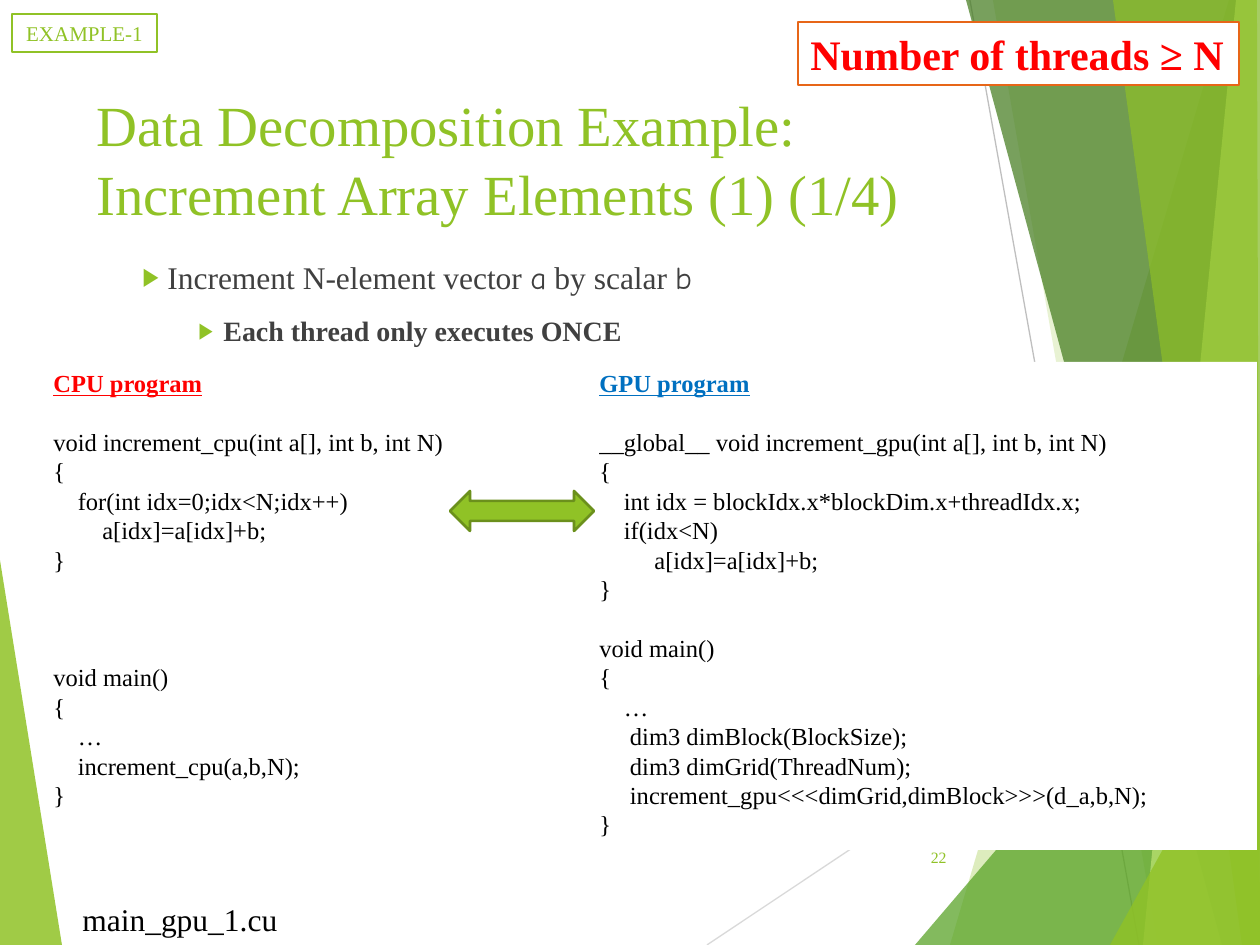
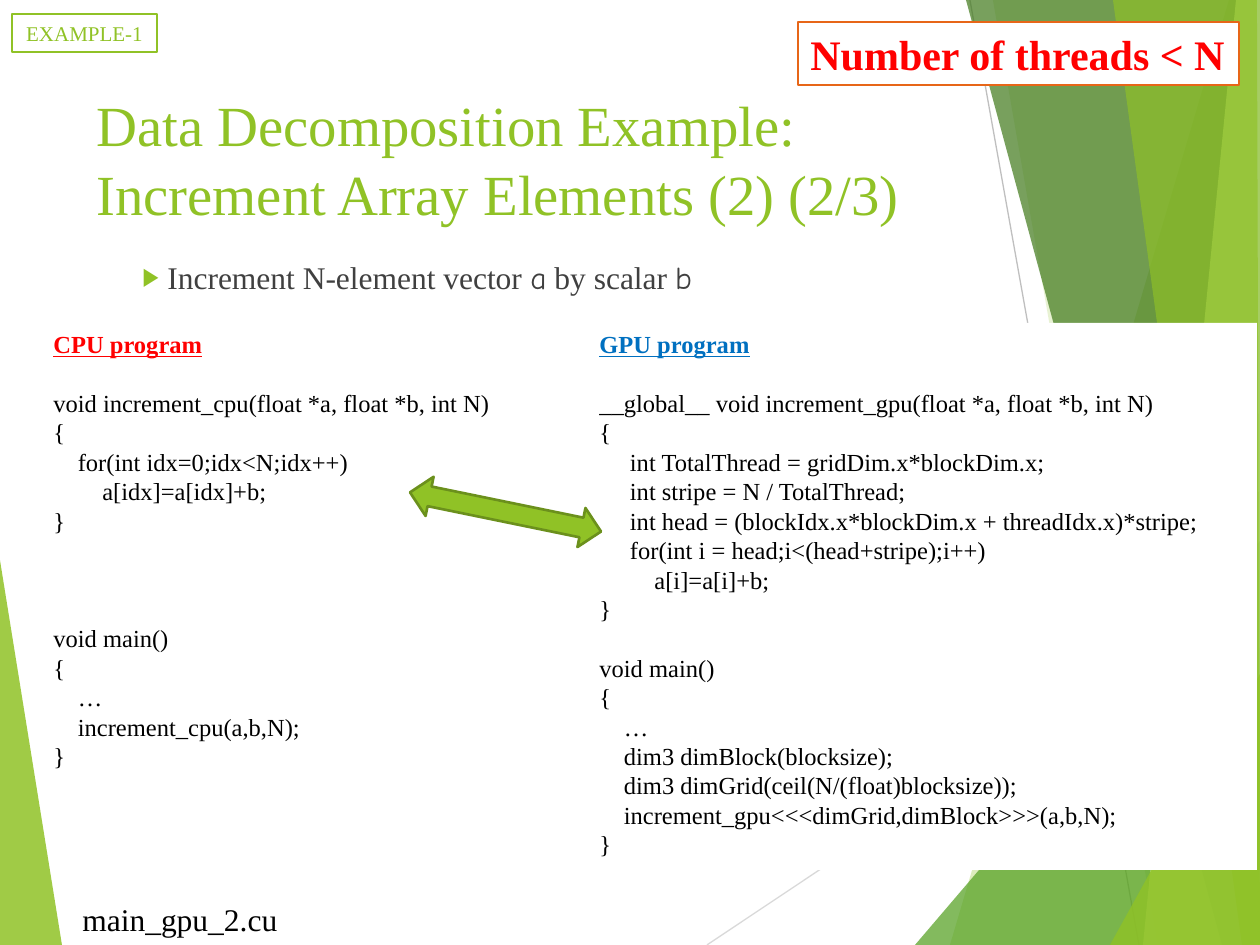
from lxml import etree
from pptx import Presentation
from pptx import util as u
from pptx.dml.color import RGBColor
from pptx.enum import shapes, text
from pptx.oxml import ns

PX = u.Inches(1) // 126
W, H = 1260, 945
SERIF, SANS = "Times New Roman", "Comic Neue"
GREEN, DARK_GREEN, ORANGE = "90C226", "6B901C", "E76618"
RED, BLUE, GREY, BLACK, WHITE = "FF0000", "0070C0", "404040", "000000", "FFFFFF"
CODE_SIZE, CODE_LINE, CODE_SPACE = 14, 16.8, 3.5  # points
LEFT, CENTER, RIGHT = text.PP_ALIGN.LEFT, text.PP_ALIGN.CENTER, text.PP_ALIGN.RIGHT


def rgb(value):
    return RGBColor.from_string(value)


def add_text(s, box, lines, size, color, align=LEFT, bold=False, wrap=True,
             fill=None, line=None):
    """Add a text box with one paragraph per line and return it."""
    sp = s.shapes.add_textbox(*[v * PX for v in box])
    if fill:
        sp.fill.solid()
        sp.fill.fore_color.rgb = rgb(fill)
    if line:
        sp.line.color.rgb = rgb(line)
        sp.line.width = u.Pt(1.5)
    tf = sp.text_frame
    tf.word_wrap = wrap
    tf.text = "\n".join(lines)
    for p in tf.paragraphs:
        p.alignment = align
        p.font.name, p.font.size, p.font.bold = SERIF, u.Pt(size), bold
        p.font.color.rgb = rgb(color)
    return sp


# Background facets: corner points, colour, opacity in percent
FACETS_BACK = [
    ([(0, 560), (62, H), (0, H)], GREEN, 85),
]
FACETS_FRONT = [
    ([(1229, 0), (950, H), (W, H), (W, 0)], GREEN, 30),
    ([(993, 0), (1158, H), (W, H), (W, 0)], GREEN, 20),
    ([(915, H), (W, 541), (W, H)], "54A021", 72),
    ([(966, 0), (1222, H), (W, H), (W, 0)], "3F7819", 70),
    ([(1236, 0), (1143, H), (W, H), (W, 0)], "C0E474", 70),
    ([(1113, 0), (1242, H), (W, H), (1257, 0)], GREEN, 65),
    ([(1110, H), (W, 674), (W, H)], GREEN, 80),
]
BACK_LINES = [((707, H), (W, 576), "D9D9D9"), ((970, 0), (1139, H), "BFBFBF")]

# What differs between the slides
CPU_BODY = [
    "{",
    "    for(int idx=0;idx<N;idx++)",
    "        a[idx]=a[idx]+b;",
    "}",
    "", "", "",
    "void main()",
    "{",
    "    …",
    "    increment_cpu(a,b,N);",
    "}",
]
SLIDES = [
    dict(
        title="Data Decomposition Example:\vIncrement Array Elements (1) (1/4)",
        threads="Number of threads ≥ N",
        note="Each thread only executes ONCE",
        number="22",
        file="main_gpu_1.cu",
        code_top=362, gpu_height=488,
        arrow=(450, 491, 144, 40), angle=0,
        cpu=["void increment_cpu(int a[], int b, int N)"],
        gpu=[
            "__global__ void increment_gpu(int a[], int b, int N)",
            "{",
            "    int idx = blockIdx.x*blockDim.x+threadIdx.x;",
            "    if(idx<N)",
            "         a[idx]=a[idx]+b;",
            "}",
            "",
            "void main()",
            "{",
            "    …",
            "     dim3 dimBlock(BlockSize);",
            "     dim3 dimGrid(ThreadNum);",
            "     increment_gpu<<<dimGrid,dimBlock>>>(d_a,b,N);",
            "}",
        ],
    ),
    dict(
        title="Data Decomposition Example:\vIncrement Array Elements (2) (2/3)",
        threads="Number of threads < N",
        note=None,
        number=None,
        file="main_gpu_2.cu",
        code_top=323, gpu_height=547,
        arrow=(408, 492, 195, 40), angle=11.6,
        cpu=["void increment_cpu(float *a, float *b, int N)"],
        gpu=[
            "__global__ void increment_gpu(float *a, float *b, int N)",
            "{",
            "     int TotalThread = gridDim.x*blockDim.x;",
            "     int stripe = N / TotalThread;",
            "     int head = (blockIdx.x*blockDim.x + threadIdx.x)*stripe;",
            "     for(int i = head;i<(head+stripe);i++)",
            "         a[i]=a[i]+b;",
            "}",
            "",
            "void main()",
            "{",
            "    …",
            "    dim3 dimBlock(blocksize);",
            "    dim3 dimGrid(ceil(N/(float)blocksize));",
            "    increment_gpu<<<dimGrid,dimBlock>>>(a,b,N);",
            "}",
        ],
    ),
]

prs = Presentation()
prs.slide_width, prs.slide_height = W * PX, H * PX
layout = prs.slide_layouts[5]
pages = [prs.slides.add_slide(layout) for _ in SLIDES]

# Shared background: drawn on the first slide, then moved to the layout
s = pages[0]
decor = []
for item in FACETS_BACK + BACK_LINES + FACETS_FRONT:
    if item in BACK_LINES:
        start, end, color = item
        sp = s.shapes.add_connector(shapes.MSO_CONNECTOR.STRAIGHT,
                                    *[v * PX for v in start + end])
        sp.line.color.rgb = rgb(color)
        sp.line.width = u.Pt(0.75)
        etree.SubElement(sp.element.spPr, ns.qn("a:effectLst"))
    else:
        points, color, opacity = item
        builder = s.shapes.build_freeform(*points[0], scale=PX)
        builder.add_line_segments(points[1:], close=True)
        sp = builder.convert_to_shape()
        sp.shadow.inherit = False
        sp.line.fill.background()
        sp.fill.solid()
        sp.fill.fore_color.rgb = rgb(color)
        clr = sp.element.xpath("./p:spPr/a:solidFill/a:srgbClr")[0]
        etree.SubElement(clr, ns.qn("a:alpha")).set("val", str(opacity * 1000))
    decor.append(sp.element)
for i, el in enumerate(decor):
    el.xpath(".//p:cNvPr")[0].set("id", str(100 + i))
    layout.shapes.element.append(el)

for s, page in zip(pages, SLIDES):
    # Title
    sp = s.shapes.title
    sp.left, sp.top, sp.width, sp.height = [v * PX for v in (84, 84, 875, 181)]
    tf = sp.text_frame
    tf.text = page["title"]
    tf.auto_size = text.MSO_AUTO_SIZE.NONE
    tf.vertical_anchor = text.MSO_ANCHOR.TOP
    p = tf.paragraphs[0]
    p.alignment = LEFT
    p.font.name, p.font.size = SERIF, u.Pt(32.4)
    p.font.color.rgb = rgb(GREEN)

    # Bullets
    notes = [page["note"]] if page["note"] else []
    sp = add_text(s, (130, 252, 888, 144 if notes else 52), [""] + notes, 18, GREY)
    paragraphs = sp.text_frame.paragraphs
    for content, font in [("Increment N-element vector ", SERIF), ("a", SANS),
                          (" by scalar ", SERIF), ("b", SANS)]:
        r = paragraphs[0].add_run()
        r.text, r.font.name = content, font
    for p in paragraphs[1:]:
        p.level, p.space_before = 1, u.Pt(10)
        p.font.size, p.font.bold = u.Pt(16), True
    for p, indent in zip(paragraphs, (25, 81)):
        pPr = p._p.get_or_add_pPr()
        pPr.set("marL", str(indent * PX))
        pPr.set("indent", str(-25 * PX))
        bullet = [etree.Element(ns.qn(tag)) for tag in
                  ("a:buClr", "a:buSzPct", "a:buFont", "a:buChar")]
        etree.SubElement(bullet[0], ns.qn("a:srgbClr")).set("val", GREEN)
        bullet[1].set("val", "80000")
        bullet[2].set("typeface", "Arial")
        bullet[3].set("char", "▶")
        at = pPr.index(pPr.find(ns.qn("a:defRPr")))
        pPr[at:at] = bullet

    # Slide number
    if page["number"]:
        sp = add_text(s, (888, 832, 71, 50), [page["number"]], 9, GREEN, RIGHT)
        sp.text_frame.vertical_anchor = text.MSO_ANCHOR.MIDDLE

    # Code columns: leading spaces become indents, empty lines become spacing
    top = page["code_top"]
    for heading, color, code, box, fill in [
        ("CPU program", RED, page["cpu"] + CPU_BODY, (41, top, 546, 459), None),
        ("GPU program", BLUE, page["gpu"], (587, top, 670, page["gpu_height"]), WHITE),
    ]:
        lines = [heading] + [c.strip() for c in code if c]
        sp = add_text(s, box, lines, CODE_SIZE, BLACK, fill=fill)
        paragraphs = sp.text_frame.paragraphs
        p = paragraphs[0]
        p.font.bold = p.font.underline = True
        p.font.color.rgb = rgb(color)
        rest = iter(paragraphs[1:])
        gap = 1
        for c in code:
            if not c:
                gap += 1
                continue
            p = next(rest)
            p.space_before = u.Pt(gap * CODE_LINE)
            spaces = len(c) - len(c.lstrip())
            p._p.get_or_add_pPr().set("marL", str(u.Pt(spaces * CODE_SPACE)))
            gap = 0

    # Arrow between the programs
    sp = s.shapes.add_shape(shapes.MSO_SHAPE.LEFT_RIGHT_ARROW,
                            *[v * PX for v in page["arrow"]])
    sp.rotation = page["angle"]
    sp.shadow.inherit = False
    sp.fill.solid()
    sp.fill.fore_color.rgb = rgb(GREEN)
    sp.line.color.rgb = rgb(DARK_GREEN)
    sp.line.width = u.Pt(1.5)

    # Labels
    add_text(s, (12, 14, 145, 38), ["EXAMPLE-1"], 12, GREEN, CENTER,
             wrap=False, fill=WHITE, line=GREEN)
    add_text(s, (798, 22, 441, 63), [page["threads"]], 24, RED, bold=True,
             wrap=False, fill=WHITE, line=ORANGE)
    add_text(s, (59, 894, 242, 50), [page["file"]], 18, BLACK, CENTER, wrap=False)

prs.save("out.pptx")
